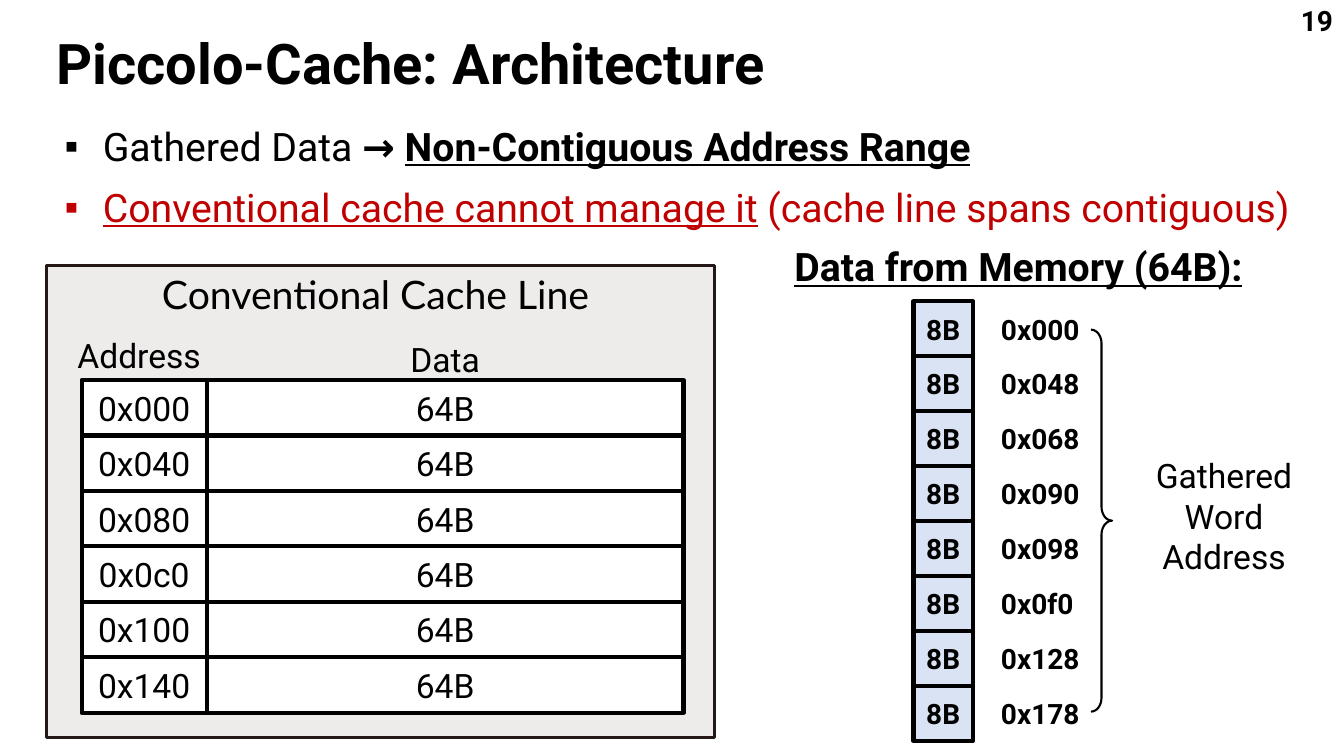
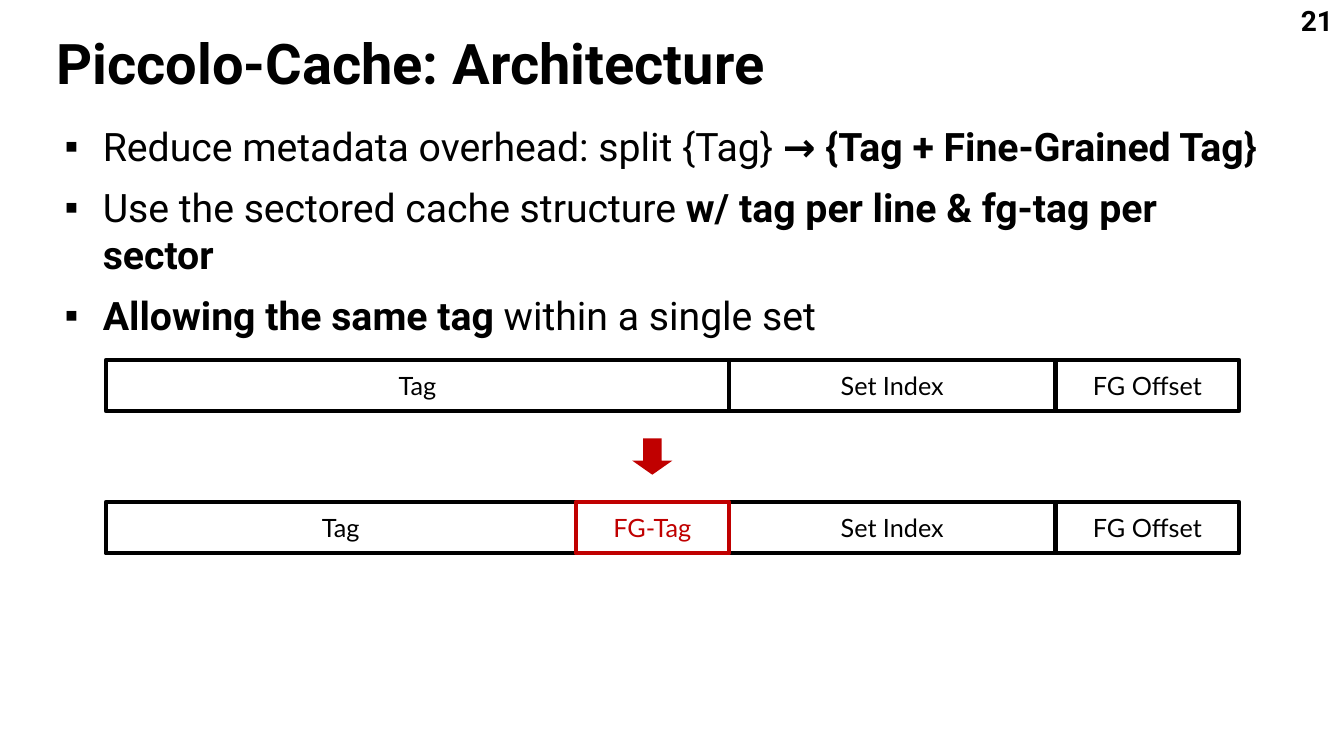
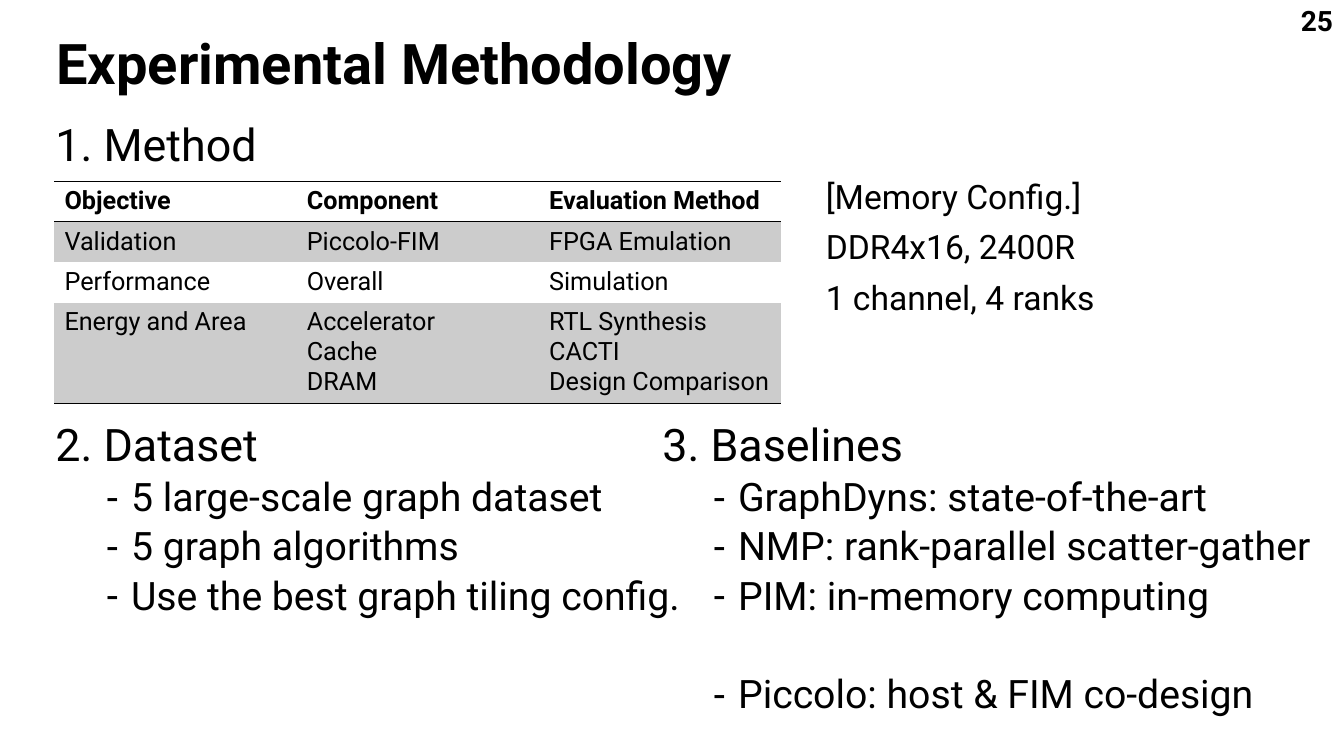
from pptx import Presentation
from pptx.dml.color import RGBColor
from pptx.enum.shapes import MSO_SHAPE as Shape
from pptx.enum.text import MSO_ANCHOR as Anchor, MSO_AUTO_SIZE as Fit, PP_ALIGN as Align
from pptx.oxml.ns import qn
from pptx.util import Inches, Pt
from lxml import etree

HUES = {"ink": "000000", "paper": "FFFFFF", "red": "C00000", "panel": "EDECEB",
        "rim": "231815", "word": "DAE3F3", "band": "CCCCCC"}
MAIN, ALT = "Roboto", "Lato"


# Shared helpers
def hue(name):
    return RGBColor.from_string(HUES[name])


def place(shape, box):
    shape.left, shape.top, shape.width, shape.height = map(Inches, box)


def style(run, size, bold=False, line=False, color="ink", face=MAIN):
    font = run.font
    font.size, font.name, font.bold, font.underline = Pt(size), face, bold, line
    font.color.rgb = hue(color)


def write(frame, text, size, align=Align.CENTER, **look):
    frame.text = text
    frame.vertical_anchor = Anchor.MIDDLE
    for para in frame.paragraphs:
        para.alignment = align
        for run in para.runs:
            style(run, size, **look)


def label(slide, box, text, size, align=Align.CENTER, **look):
    area = slide.shapes.add_textbox(*map(Inches, box))
    area.text_frame.word_wrap = True
    write(area.text_frame, text, size, align, **look)


def draw(slide, kind, box, fill=None, line=None, width=3, adj=()):
    shape = slide.shapes.add_shape(kind, *map(Inches, box))
    shape.shadow.inherit = False
    for i, value in enumerate(adj):
        shape.adjustments[i] = value
    if fill:
        shape.fill.solid()
        shape.fill.fore_color.rgb = hue(fill)
    else:
        shape.fill.background()
    if line:
        shape.line.color.rgb = hue(line)
        shape.line.width = Pt(width)
    else:
        shape.line.fill.background()
    return shape


def cell(slide, box, text, size, fill="paper", line="ink", **look):
    frame = draw(slide, Shape.RECTANGLE, box, fill, line).text_frame
    frame.margin_left = frame.margin_right = 0
    write(frame, text, size, **look)


def bullet(para, mark, left=0, hang=0):
    props = para._p.get_or_add_pPr()
    props.set("marL", str(Inches(left)))
    props.set("indent", str(-Inches(hang)))
    if mark:
        etree.SubElement(props, qn("a:buChar")).set("char", mark)
    else:
        etree.SubElement(props, qn("a:buNone"))


def body(holder, box):
    place(holder, box)
    frame = holder.text_frame
    frame.word_wrap, frame.auto_size = True, Fit.NONE
    frame.vertical_anchor = Anchor.TOP
    return frame


def lines(frame, count):
    for _ in range(count - 1):
        frame.add_paragraph()
    return frame.paragraphs


def page(deck, layout, title, number):
    slide = deck.slides.add_slide(deck.slide_layouts[layout])
    head = slide.shapes.title
    place(head, (0.46, 0.29, 12.32, 0.74))
    head.text_frame.auto_size = Fit.NONE
    write(head.text_frame, title, 40, Align.LEFT, bold=True)
    head.text_frame.paragraphs[0].line_spacing = 0.9
    label(slide, (10.32, 0, 3, 0.4), number, 20, Align.RIGHT, bold=True)
    return slide


# Lists
def points(holder, box, items):
    """Square-bulleted list; each item is a list of (text, look) runs."""
    frame = body(holder, box)
    for i, (para, item) in enumerate(zip(lines(frame, len(items)), items)):
        para.space_before = Pt(10 if i else 0)
        bullet(para, "▪", 0.38, 0.38)
        for text, look in item:
            run = para.add_run()
            run.text = text
            style(run, 28, **look)


def outline(holder, box, head, subs=(), size=32, apart=()):
    """Heading lines with dashed sub-items; those in apart stand off."""
    frame = body(holder, box)
    texts = [*head, *subs]
    for i, (para, text) in enumerate(zip(lines(frame, len(texts)), texts)):
        sub = i >= len(head)
        para.text = text
        para.level = int(sub)
        para.line_spacing = 0.9
        gap = 40 if text in apart else 5 if sub else 10
        para.space_before = Pt(gap if i else 0)
        if sub:
            bullet(para, "-", 0.75, 0.25)
        else:
            bullet(para, None)
        style(para.runs[0], 28 if sub else size)


# Slide 1 regions
def cache(slide, box, tags):
    x, y, w, h = box
    draw(slide, Shape.RECTANGLE, box, "panel", "rim", 2.28)
    label(slide, (x, y, w - 0.1, 0.57), "Conventional Cache Line", 28, face=ALT)
    left, top, step = x + 0.35, y + 1.14, 0.55
    tag, data = 1.24, 4.73
    label(slide, (left - 0.3, top - 0.53, tag + 0.5, 0.56), "Address", 24)
    label(slide, (left + tag, top - 0.49, data, 0.56), "Data", 24)
    for i, text in enumerate(tags):
        row = top + i * step
        cell(slide, (left, row, tag, step), text, 24)
        cell(slide, (left + tag, row, data, step), "64B", 24)


def words(slide, box, tags):
    x, y, w, h = box
    step = h / len(tags)
    label(slide, (x - 1.3, y - 0.63, 4.68, 0.56), "Data from Memory (64B):", 28,
          bold=True, line=True)
    for i, text in enumerate(tags):
        row = y + i * step
        cell(slide, (x, row, w, step), "8B", 20, "word", bold=True)
        label(slide, (x + 0.77, row, 1.2, step), text, 20, Align.LEFT, bold=True)
    draw(slide, Shape.RIGHT_BRACE, (x + 1.76, y + 0.28, 0.21, h - 0.57),
         line="ink", width=1.5, adj=(0.65, 0.5))
    label(slide, (x + 2.18, y + 1.69, 1.8, 0.87), "Gathered Word\nAddress", 24)


# Slide 2 region
def fields(slide, x, y, parts):
    """Bit fields side by side; the red one is drawn last, on top."""
    spans = []
    for text, width, color in parts:
        spans.append((color == "red", x, text, width, color))
        x += width
    for _, left, text, width, color in sorted(spans):
        cell(slide, (left, y, width, 0.51), text, 18, line=color, color=color, face=ALT)


# Slide 3 region
def edges(box, top, bottom):
    props = box._tc.get_or_add_tcPr()
    for i, (side, shown) in enumerate((("L", 0), ("R", 0), ("T", top), ("B", bottom))):
        line = etree.Element(qn("a:ln" + side), w=str(Pt(1)))
        if shown:
            fill = etree.SubElement(line, qn("a:solidFill"))
            etree.SubElement(fill, qn("a:srgbClr")).set("val", HUES["ink"])
        else:
            etree.SubElement(line, qn("a:noFill"))
        props.insert(i, line)


def methods(slide, box, rows, high):
    table = slide.shapes.add_table(len(rows), 3, *map(Inches, box)).table
    table.first_row = table.horz_banding = False
    last = len(rows) - 1
    for col in table.columns:
        col.width = Inches(box[2] / 3)
    for r, row in enumerate(rows):
        table.rows[r].height = Inches(high[r])
        for c, text in enumerate(row):
            item = table.cell(r, c)
            write(item.text_frame, text, 18, Align.LEFT, bold=r == 0)
            item.vertical_anchor = Anchor.TOP
            if r % 2:
                item.fill.solid()
                item.fill.fore_color.rgb = hue("band")
            else:
                item.fill.background()
            edges(item, r in (0, 1), r in (0, last))


# Slides
def compare(deck):
    slide = page(deck, 1, "Piccolo-Cache: Architecture", "19")
    points(slide.placeholders[1], (0.54, 1.16, 12.7, 1.3), [
        [("Gathered Data ", {}), ("→ ", {"bold": True}),
         ("Non-Contiguous Address Range", {"bold": True, "line": True})],
        [("Conventional cache cannot manage it", {"line": True, "color": "red"}),
         (" (cache line spans contiguous)", {"color": "red"})]])
    cache(slide, (0.46, 2.63, 6.63, 4.69),
          ("0x000", "0x040", "0x080", "0x0c0", "0x100", "0x140"))
    words(slide, (9.06, 2.99, 0.59, 4.36),
          ("0x000", "0x048", "0x068", "0x090", "0x098", "0x0f0", "0x128", "0x178"))


def split(deck):
    slide = page(deck, 1, "Piccolo-Cache: Architecture", "21")
    strong = {"bold": True}
    points(slide.placeholders[1], (0.54, 1.16, 12.1, 2.4), [
        [("Reduce metadata overhead: split {Tag} ", {}),
         ("→ {Tag + Fine-Grained Tag}", strong)],
        [("Use the sectored cache structure ", {}),
         ("w/ tag per line & fg-tag per sector", strong)],
        [("Allowing the same tag ", strong), ("within a single set", {})]])
    rest = [("Set Index", 3.24, "ink"), ("FG Offset", 1.82, "ink")]
    fields(slide, 1.05, 3.57, [("Tag", 6.18, "ink"), *rest])
    draw(slide, Shape.DOWN_ARROW, (6.27, 4.35, 0.4, 0.36), "red", adj=(0.46, 0.39))
    fields(slide, 1.05, 4.98, [("Tag", 4.66, "ink"), ("FG-Tag", 1.52, "red"), *rest])


def setup(deck):
    slide = page(deck, 4, "Experimental Methodology", "25")
    spots = slide.placeholders
    outline(spots[1], (0.45, 1.17, 5.4, 0.6), ["1. Method"])
    outline(spots[2], (0.45, 4.14, 6.47, 2.59), ["2. Dataset"], [
        "5 large-scale graph dataset", "5 graph algorithms",
        "Use the best graph tiling config."])
    outline(spots[3], (8.09, 1.74, 4.88, 1.5),
            ["[Memory Config.]", "DDR4x16, 2400R", "1 channel, 4 ranks"], size=24)
    host = "Piccolo: host & FIM co-design"
    outline(spots[4], (6.47, 4.14, 6.8, 3.04), ["3. Baselines"], [
        "GraphDyns: state-of-the-art", "NMP: rank-parallel scatter-gather",
        "PIM: in-memory computing", host], apart=(host,))
    methods(slide, (0.54, 1.8, 7.21, 2.2), [
        ("Objective", "Component", "Evaluation Method"),
        ("Validation", "Piccolo-FIM", "FPGA Emulation"),
        ("Performance", "Overall", "Simulation"),
        ("Energy and Area", "Accelerator\nCache\nDRAM",
         "RTL Synthesis\nCACTI\nDesign Comparison")], (0.39, 0.39, 0.39, 0.98))


def main():
    deck = Presentation()
    deck.slide_width, deck.slide_height = Inches(13.33), Inches(7.5)
    for build in (compare, split, setup):
        build(deck)
    deck.save("out.pptx")


if __name__ == "__main__":
    main()
